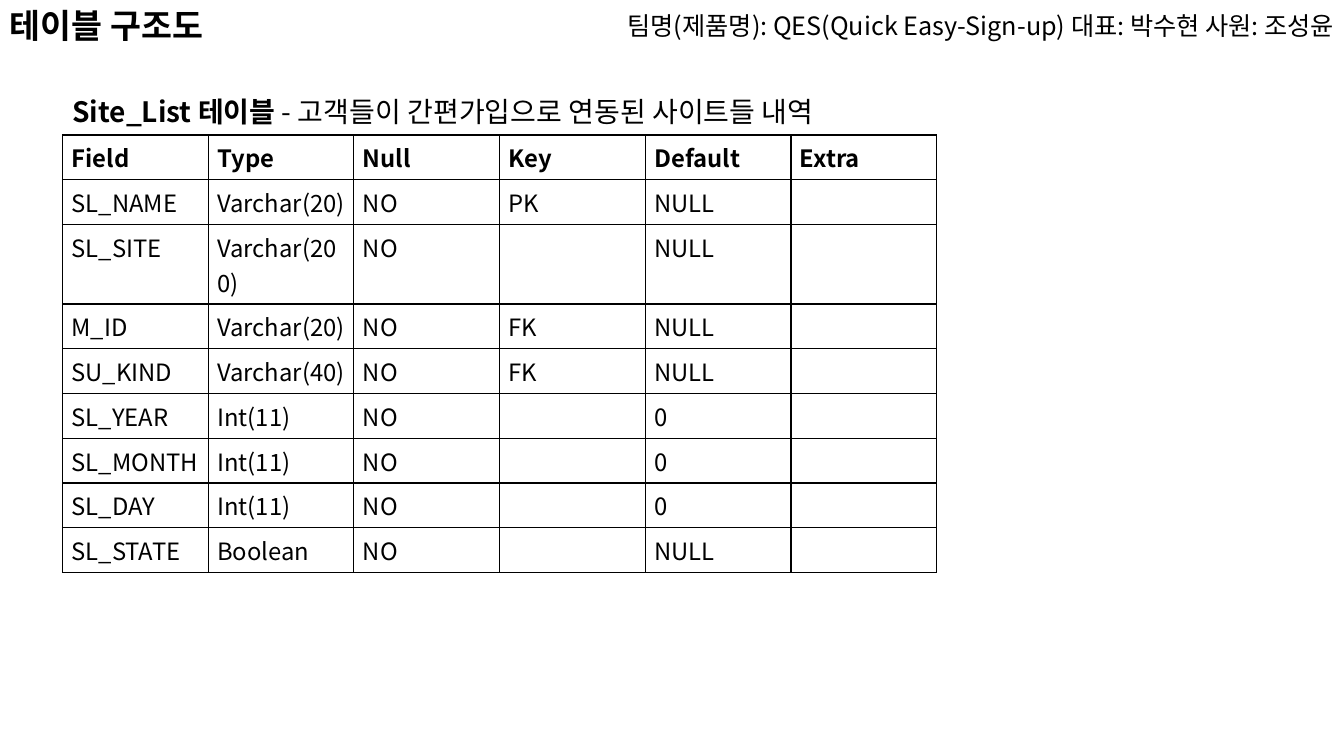
from dataclasses import dataclass

from lxml.etree import SubElement
from pptx import Presentation
from pptx.dml.color import RGBColor
from pptx.enum.text import MSO_ANCHOR as Anchor, PP_ALIGN as Align
from pptx.oxml.ns import qn
from pptx.slide import Slide
from pptx.table import _Cell as Cell
from pptx.text.text import _Paragraph as Paragraph
from pptx.util import Inches, Pt

BLACK = RGBColor(0, 0, 0)
WHITE = RGBColor(255, 255, 255)
FONT = "Noto Sans CJK KR"
LEFT, WIDTH = 0.62, 8.67
ROW_HEIGHT = 0.37


@dataclass
class Run:
    text: str
    size: int
    bold: bool = False


@dataclass
class Label:
    left: float
    top: float
    width: float
    runs: list[Run]
    align: Align = Align.LEFT


@dataclass
class Field:
    name: str
    kind: str
    null: str = "NO"
    key: str = ""
    default: str = "NULL"
    extra: str = ""

    def values(self) -> list[str]:
        return [self.name, self.kind, self.null, self.key, self.default, self.extra]


LABELS = [
    Label(LEFT, 0.85, WIDTH, [
        Run("Site_List 테이블 ", 20, True),
        Run("- 고객들이 간편가입으로 연동된 사이트들 내역", 20),
    ]),
    Label(5.29, 0, 8.04, [
        Run("팀명(제품명): QES(Quick Easy-Sign-up) 대표: 박수현 사원: 조성윤", 18),
    ], Align.RIGHT),
    Label(0, 0, 2.38, [Run("테이블 구조도", 24, True)]),
]

FIELDS = [
    Field("Field", "Type", "Null", "Key", "Default", "Extra"),
    Field("SL_NAME", "Varchar(20)", key="PK"),
    Field("SL_SITE", "Varchar(200)"),
    Field("M_ID", "Varchar(20)", key="FK"),
    Field("SU_KIND", "Varchar(40)", key="FK"),
    Field("SL_YEAR", "Int(11)", default="0"),
    Field("SL_MONTH", "Int(11)", default="0"),
    Field("SL_DAY", "Int(11)", default="0"),
    Field("SL_STATE", "Boolean"),
]


def add_run(p: Paragraph, run: Run) -> None:
    r = p.add_run()
    r.text = run.text
    for name, value in {"name": FONT, "size": Pt(run.size), "bold": run.bold}.items():
        setattr(r.font, name, value)
    r.font.color.rgb = BLACK
    SubElement(r.font._element, qn("a:ea"), typeface=FONT)


def add_label(s: Slide, label: Label) -> None:
    sp = s.shapes.add_textbox(Inches(label.left), Inches(label.top),
                              Inches(label.width), Inches(0.5))
    tf = sp.text_frame
    tf.word_wrap = True
    tf.vertical_anchor = Anchor.MIDDLE
    p = tf.paragraphs[0]
    p.alignment = label.align
    for run in label.runs:
        add_run(p, run)


def format_cell(cell: Cell) -> None:
    margins = {"margin_left": 0.09, "margin_right": 0.09,
               "margin_top": 0.05, "margin_bottom": 0.05}
    for name, value in margins.items():
        setattr(cell, name, Inches(value))
    tc_pr = cell._tc.get_or_add_tcPr()
    for side in ("lnL", "lnR", "lnT", "lnB"):
        line = SubElement(tc_pr, qn(f"a:{side}"), w=str(Pt(1)))
        fill = SubElement(line, qn("a:solidFill"))
        SubElement(fill, qn("a:srgbClr"), val=str(BLACK))
    cell.fill.solid()
    cell.fill.fore_color.rgb = WHITE


def add_field_table(s: Slide, fields: list[Field]) -> None:
    rows, cols = len(fields), len(fields[0].values())
    table = s.shapes.add_table(rows, cols, Inches(LEFT), Inches(1.34), Inches(WIDTH),
                               Inches(ROW_HEIGHT * rows)).table
    table.horz_banding = False
    for row, field in enumerate(fields):
        for col, text in enumerate(field.values()):
            cell = table.cell(row, col)
            format_cell(cell)
            if text:
                add_run(cell.text_frame.paragraphs[0], Run(text, 17, row == 0))


prs = Presentation()
prs.slide_width, prs.slide_height = Inches(13.33), Inches(7.5)
s = prs.slides.add_slide(prs.slide_layouts[6])
add_field_table(s, FIELDS)
for label in LABELS:
    add_label(s, label)
prs.save("out.pptx")
